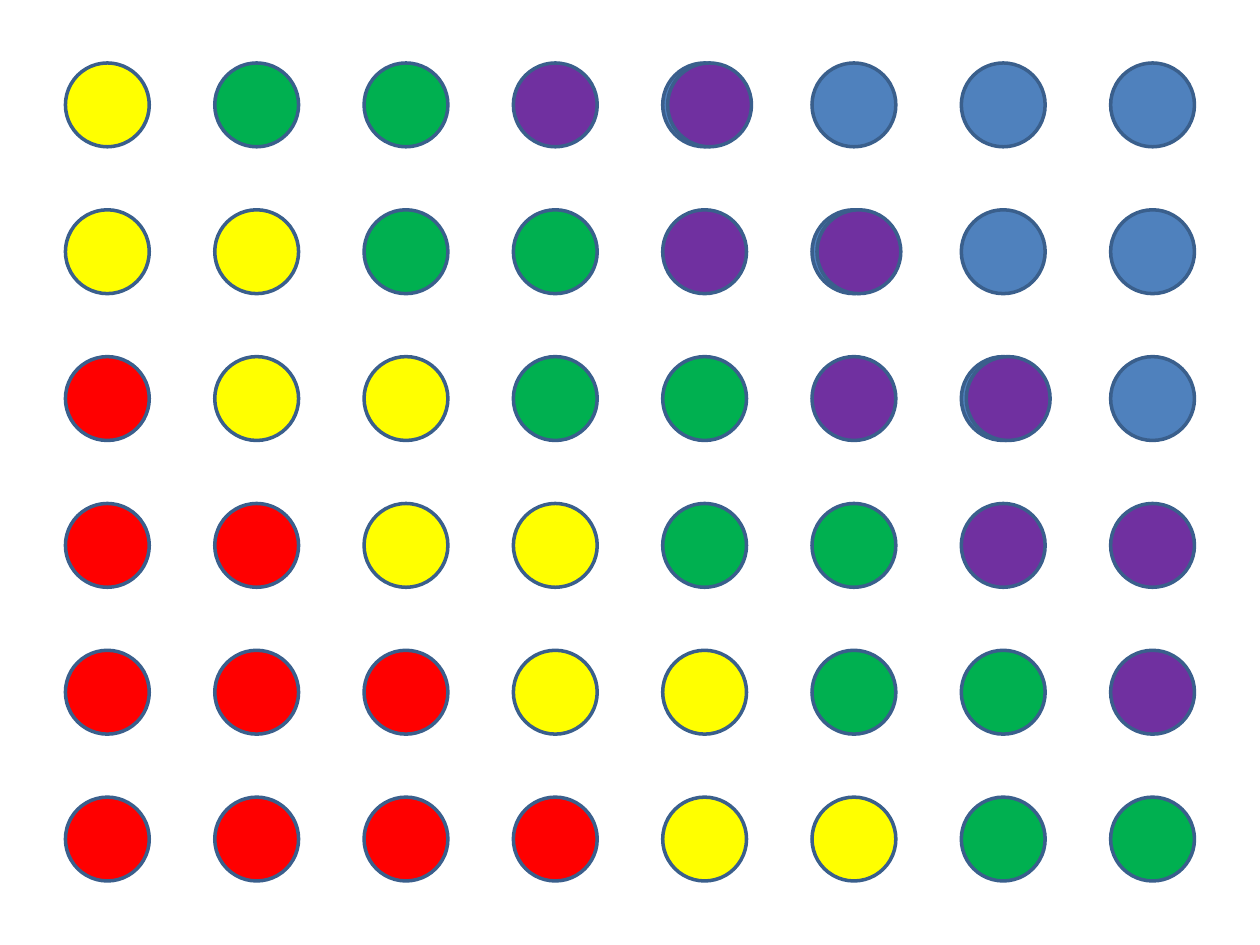
from pptx import Presentation
from pptx.dml.color import RGBColor as RGB
from pptx.enum.shapes import MSO_SHAPE as Shape
from pptx.util import Cm, Pt

THEME = {
    "red": RGB(0xFF, 0x00, 0x00),
    "yellow": RGB(0xFF, 0xFF, 0x00),
    "green": RGB(0x00, 0xB0, 0x50),
    "purple": RGB(0x70, 0x30, 0xA0),
    "blue": RGB(0x4F, 0x81, 0xBD),
    "outline": RGB(0x3A, 0x5F, 0x8C),
    "outline_width": Pt(2),
}
ROWS, COLS = 6, 8
LEFT, TOP = 1.32, 1.27
COL_STEP, ROW_STEP = 3.01, 2.96
DIAMETER = 1.69
OVERLAP_SHIFT = 0.1
OVERLAP_ROWS = 3
OVERLAP_DIAGONAL = 4

prs = Presentation()
prs.slide_width, prs.slide_height = Cm(25.4), Cm(19.05)
slide = prs.slides.add_slide(prs.slide_layouts[6])


def band_color(diagonal):
    if diagonal < -1:
        return "red"
    if diagonal < 1:
        return "yellow"
    if diagonal < 3:
        return "green"
    return "purple" if diagonal == 3 else "blue"


def add_circle(row, col, color, shift=0):
    sp = slide.shapes.add_shape(
        Shape.OVAL,
        Cm(LEFT + col * COL_STEP + shift), Cm(TOP + row * ROW_STEP),
        Cm(DIAMETER), Cm(DIAMETER),
    )
    sp.shadow.inherit = False
    sp.fill.solid()
    sp.fill.fore_color.rgb = THEME[color]
    sp.line.color.rgb = THEME["outline"]
    sp.line.width = THEME["outline_width"]


for row in range(ROWS):
    for col in range(COLS):
        diagonal = col - row
        if row >= OVERLAP_ROWS and diagonal == OVERLAP_DIAGONAL:
            add_circle(row, col, "purple")
        else:
            add_circle(row, col, band_color(diagonal))

for row in range(OVERLAP_ROWS):
    add_circle(row, row + OVERLAP_DIAGONAL, "purple", OVERLAP_SHIFT)

prs.save("out.pptx")
